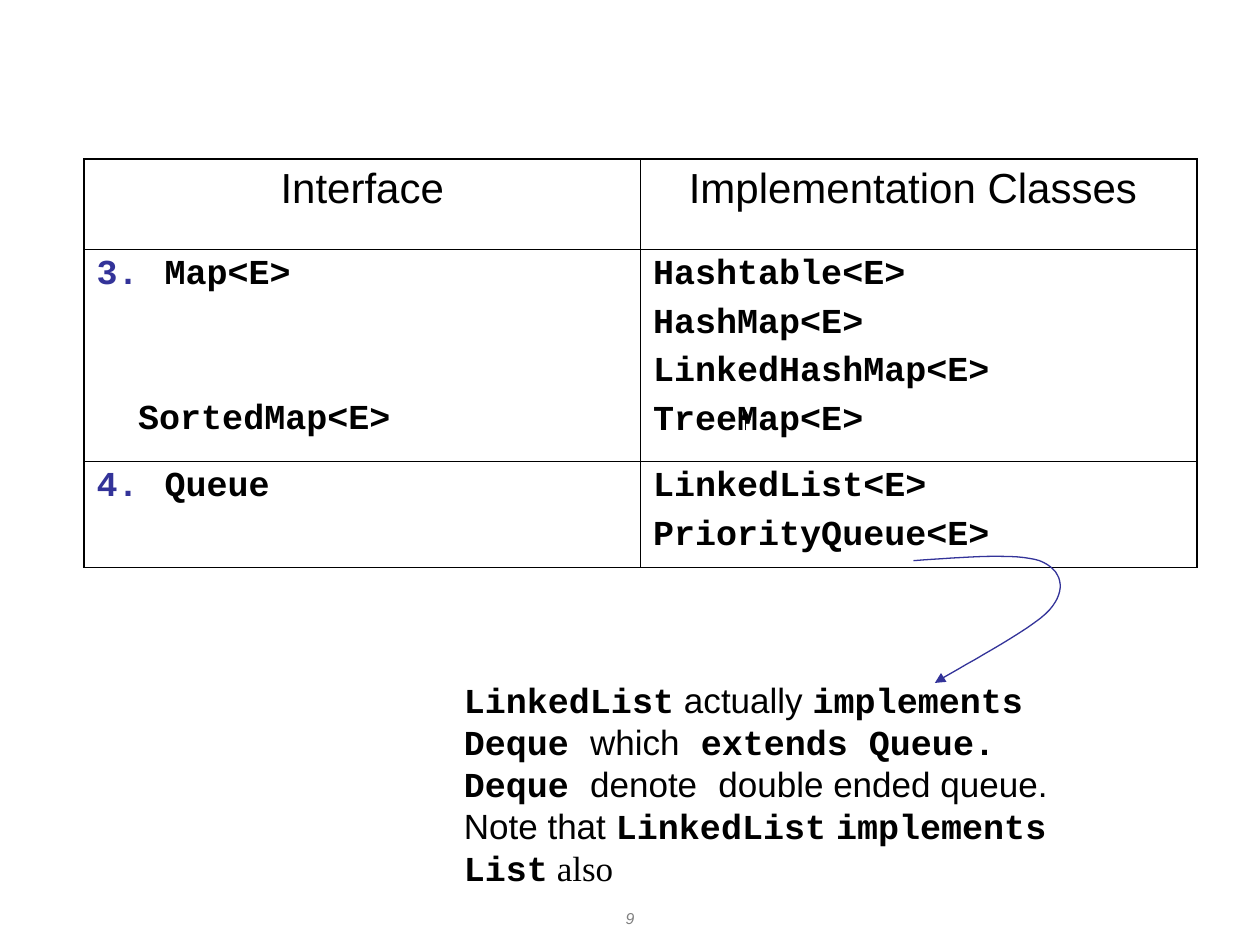
from lxml.etree import SubElement as Sub
from pptx import Presentation
from pptx.dml.color import RGBColor as Rgb
from pptx.enum.shapes import MSO_CONNECTOR as Conn
from pptx.enum.text import PP_ALIGN as Align
from pptx.oxml.ns import qn
from pptx.util import Inches, Pt

COLORS = {"ink": "000000", "accent": "333399", "muted": "808080"}
CODE, PROSE, SERIF = "Courier New", "Arial", "Times New Roman"
UNIT = Inches(1) / 12  # grid of 120 columns by 90 rows


def style(paragraph, size, face, bold=False, color="ink"):
    for run in paragraph.runs:
        font = run.font
        font.size, font.name, font.bold = Pt(size), face, bold
        font.color.rgb = Rgb.from_string(COLORS[color])


def finish_arrow(arrow, color):
    arrow.line.color.rgb = Rgb.from_string(COLORS[color])
    arrow.line.width = Pt(0.75)
    Sub(arrow.line._get_or_add_ln(), qn("a:tailEnd"), type="triangle")


deck = Presentation()
deck.slide_width, deck.slide_height = Inches(10), Inches(7.5)
slide = deck.slides.add_slide(deck.slide_layouts[6])
shapes = slide.shapes

# Table of interfaces and their classes
row_heights = [8.6, 20.2, 10.1]
rows = [
    (["Interface"], ["Implementation Classes "]),
    (["Map<E>", "SortedMap<E>"],
     ["Hashtable<E>", "HashMap<E>", "LinkedHashMap<E>", "TreeMap<E>"]),
    (["Queue"], ["LinkedList<E>", "PriorityQueue<E>"]),
]
collections = shapes.add_table(3, 2, *[int(n * UNIT) for n in (8, 15.15, 106, sum(row_heights))]).table
collections.first_row = collections.horz_banding = False
for column in collections.columns:
    column.width = int(53 * UNIT)
for r, row in enumerate(rows):
    collections.rows[r].height = int(row_heights[r] * UNIT)
    for c, lines in enumerate(row):
        cell = collections.cell(r, c)
        cell.text_frame.text = "\n".join(lines)
        cell.fill.background()
        for i, line in enumerate(cell.text_frame.paragraphs):
            if r == 0:
                line.alignment = Align.CENTER
                line.space_before = Pt(6)
                style(line, 24, PROSE)
                continue
            line.space_before = Pt(5)
            style(line, 20, CODE, True)
            if c == 0:
                props = line._p.get_or_add_pPr()
                if i == 0:  # numbered interface
                    props.set("marL", str(Inches(0.54)))
                    props.set("indent", str(-Inches(0.54)))
                    Sub(Sub(props, qn("a:buClr")), qn("a:srgbClr"), val=COLORS["accent"])
                    Sub(props, qn("a:buFont"), typeface=CODE)
                    Sub(props, qn("a:buAutoNum"), type="arabicPeriod", startAt=str(r + 2))
                else:  # level with the last class
                    props.set("marL", str(Inches(0.33)))
                    line.space_before = Pt(60)
        # Thick outer borders, thin inner ones
        outer = {"L": c == 0, "R": c == 1, "T": r == 0, "B": r == 2}
        cell_props = cell._tc.get_or_add_tcPr()
        for position, (side, thick) in enumerate(outer.items()):
            border = Sub(cell_props, qn("a:ln" + side), w=str(Pt(1.08 if thick else 0.45)))
            Sub(Sub(border, qn("a:solidFill")), qn("a:srgbClr"), val=COLORS["ink"])
            cell_props.insert(position, border)

# Curved arrow from the queue classes to the note, in thousandths of an inch
curve = [
    [(7250, 4450), (7660, 4420), (8070, 4390), (8250, 4450)],
    [(8250, 4450), (8430, 4520), (8470, 4680), (8330, 4840)],
    [(8330, 4840), (8190, 5000), (7570, 5320), (7420, 5420)],
]
STEPS = 16
points = []
for bend in curve:
    for step in range(1, STEPS + 1):
        t = step / STEPS
        weights = [(1 - t) ** 3, 3 * t * (1 - t) ** 2, 3 * t * t * (1 - t), t ** 3]
        points.append(tuple(sum(w * p[axis] for w, p in zip(weights, bend)) for axis in (0, 1)))
outline = shapes.build_freeform(*curve[0][0], scale=Inches(1) / 1000)
outline.add_line_segments(points, close=False)
swoop = outline.convert_to_shape()
swoop.shadow.inherit = False
swoop.fill.background()
finish_arrow(swoop, "accent")

# Note on LinkedList
note_parts = [
    [("LinkedList", CODE), (" actually ", PROSE), ("implements Deque ", CODE),
     ("which", PROSE), (" extends Queue. Deque ", CODE), ("denote", PROSE),
     (" ", CODE), ("double ended queue.", PROSE)],
    [("Note that ", PROSE), ("LinkedList", CODE), (" ", PROSE),
     ("implements List", CODE), (" also", SERIF)],
]
note = shapes.add_textbox(*[int(n * UNIT) for n in (43, 64, 65, 21.2)]).text_frame
note.word_wrap = True
for i, parts in enumerate(note_parts):
    sentence = note.add_paragraph() if i else note.paragraphs[0]
    for words, face in parts:
        sentence.add_run().text = words
    style(sentence, 20, CODE, True)
    for run, (words, face) in zip(sentence.runs, parts):
        run.font.name, run.font.bold = face, face == CODE

# Small arrow at TreeMap
pointer = shapes.add_connector(Conn.STRAIGHT, *[int(n * UNIT) for n in (71, 41, 71, 39)])
finish_arrow(pointer, "ink")
Sub(pointer._element.spPr, qn("a:effectLst"))

# Page number
page = shapes.add_textbox(*[int(n * UNIT) for n in (46, 86, 28, 3.1)]).text_frame
page.word_wrap = True
page.text = "9"
number = page.paragraphs[0]
number.alignment = Align.CENTER
style(number, 9, PROSE, color="muted")
number.runs[0].font.italic = True

deck.save("out.pptx")
